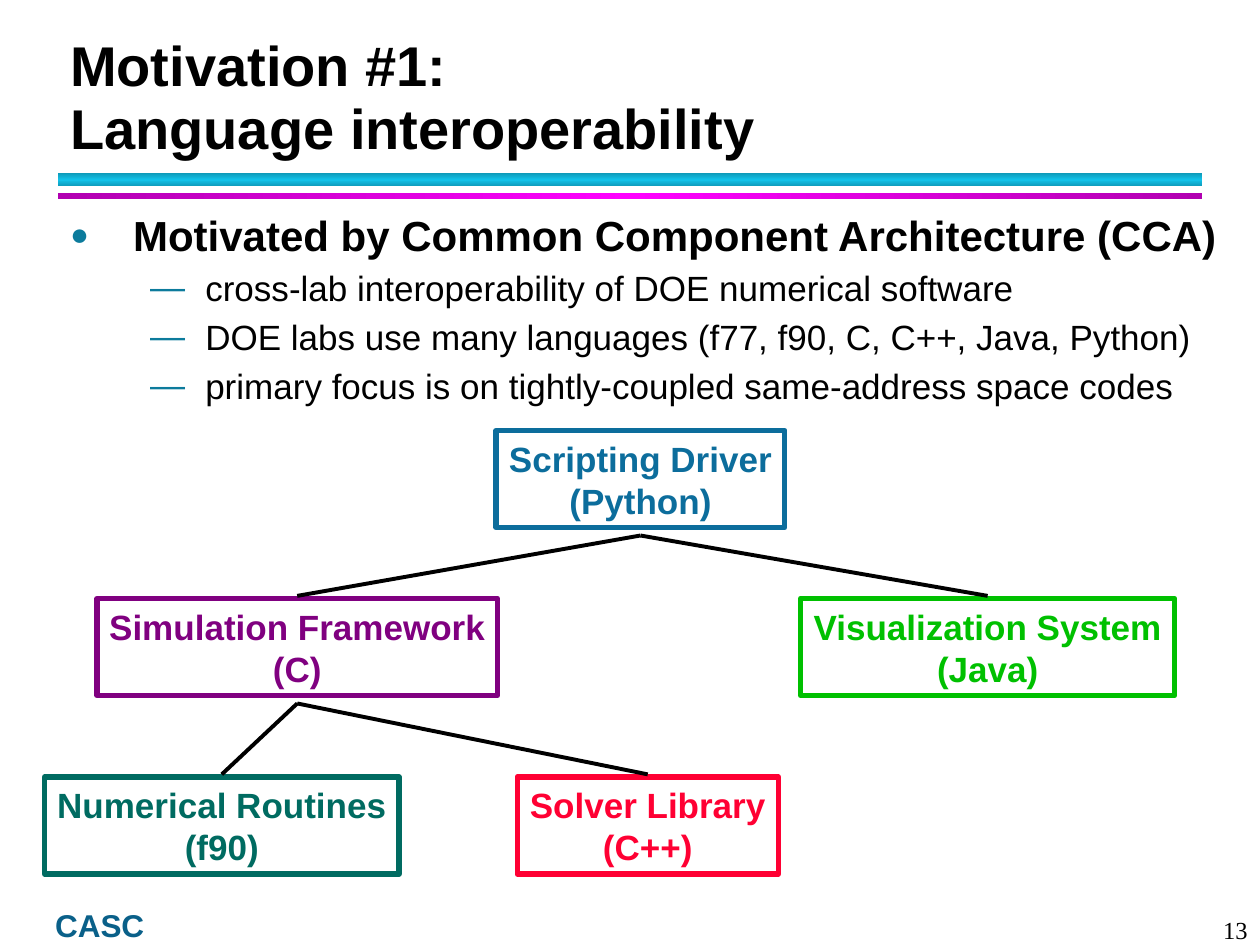
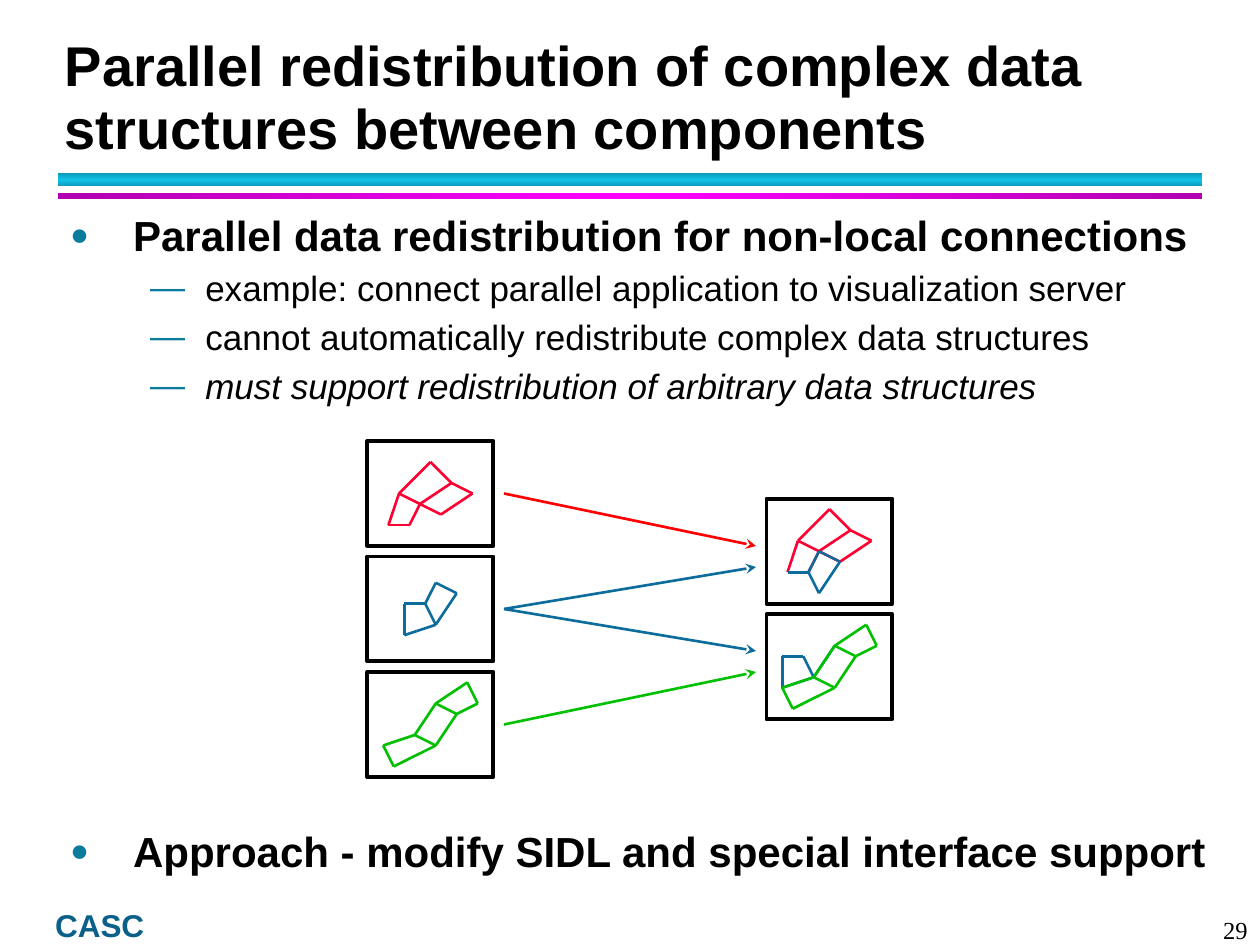
import copy
import itertools

import lxml.etree
import pptx
import pptx.dml.color
import pptx.enum.shapes
import pptx.enum.text
import pptx.oxml.ns
import pptx.util

PX = 9525  # EMU in one px, 96 px to the inch
CELL = 4  # px in one step of the mesh grid

RGB = pptx.dml.color.RGBColor
BLACK = RGB(0x00, 0x00, 0x00)
NAVY = RGB(0x0A, 0x60, 0x89)
TEAL = RGB(0x0C, 0x7B, 0x9C)
BLUE = RGB(0x0C, 0x6D, 0x9C)
PLUM = RGB(0x80, 0x00, 0x80)
PINE = RGB(0x00, 0x6B, 0x61)
GREEN = RGB(0x00, 0xC0, 0x00)
ROSE = RGB(0xFF, 0x00, 0x33)
RED = RGB(0xFF, 0x00, 0x00)
CYAN_EDGE = RGB(0x0E, 0x9A, 0xB9)
CYAN_MID = RGB(0x12, 0xC2, 0xE9)
PINK_EDGE = RGB(0xB1, 0x00, 0xB1)
PINK_MID = RGB(0xFF, 0x00, 0xFF)

ALIGN = pptx.enum.text.PP_ALIGN
ANCHOR = pptx.enum.text.MSO_ANCHOR
RECT = pptx.enum.shapes.MSO_SHAPE.RECTANGLE
STRAIGHT = pptx.enum.shapes.MSO_CONNECTOR.STRAIGHT

# Each mesh: colour, corner points on the grid, and the paths that join them
ROSE_MESH = (
    ROSE,
    dict(a=(12, 4), b=(6, 10), c=(10, 12), d=(16, 8),
         e=(8, 16), f=(4, 16), g=(14, 14), h=(20, 10)),
    ("abcda", "bfec", "cghd"),
)
BLUE_MESH = (
    BLUE,
    dict(a=(17, 7), b=(13, 13), c=(11, 9), d=(7, 9), e=(7, 15), f=(13, 5)),
    ("abcfa", "cdeb"),
)
GREEN_MESH = (
    GREEN,
    dict(a=(3, 14), b=(9, 12), c=(13, 6), d=(19, 2),
         e=(5, 18), f=(13, 14), g=(17, 8), h=(21, 6)),
    ("abfea", "bcgf", "cdhg"),
)


def emu(values):
    return [round(v * PX) for v in values]


def sub(parent, tag, **attrs):
    return lxml.etree.SubElement(parent, pptx.oxml.ns.qn(tag), **attrs)


def write(frame, lines, size, color=BLACK, font="Arial", bold=False,
          align=ALIGN.LEFT, anchor=ANCHOR.TOP, pitch=None, wrap=True):
    """Fill a text frame, one paragraph a line; pitch is line spacing in points."""
    frame.word_wrap = wrap
    frame.vertical_anchor = anchor
    for i, line in enumerate(lines):
        para = frame.add_paragraph() if i else frame.paragraphs[0]
        para.text = line
        para.alignment = align
        if pitch:
            para.line_spacing = pptx.util.Pt(pitch)
        for run in para.runs:
            style(run.font, size, color, font, bold)


def style(font, size, color, name="Arial", bold=False, slant=False):
    font.name = name
    font.size = pptx.util.Pt(size)
    font.bold = bold
    font.italic = slant
    font.color.rgb = color


def add_text(slide, box, lines, **look):
    frame = slide.shapes.add_textbox(*emu(box)).text_frame
    write(frame, lines, **look)
    return frame


def add_rect(slide, box, color=None, width=0):
    """Add an outlined box with no fill, or a bare one if no colour is given."""
    shape = slide.shapes.add_shape(RECT, *emu(box))
    shape.shadow.inherit = False
    shape.fill.background()
    if color is None:
        shape.line.fill.background()
    else:
        shape.line.color.rgb = color
        shape.line.width = pptx.util.Pt(width)
    return shape


def add_line(slide, start, end, color, width, arrow=False):
    line = slide.shapes.add_connector(STRAIGHT, *emu((*start, *end)))
    line.line.color.rgb = color
    line.line.width = pptx.util.Pt(width)
    if arrow:
        sub(line.line._get_or_add_ln(), "a:tailEnd", type="stealth")
    sub(line._element.spPr, "a:effectLst")


def add_band(slide, box, edge, mid, angle):
    fill = add_rect(slide, box).fill
    fill.gradient()
    fill.gradient_angle = angle
    stops = slide.shapes[-1]._element.spPr.find(".//" + pptx.oxml.ns.qn("a:gsLst"))
    stops.append(copy.deepcopy(stops[0]))
    for stop, place, color in zip(fill.gradient_stops, (0, 0.5, 1), (edge, mid, edge)):
        stop.position = place
        stop.color.rgb = color


def add_frame(deck, title, title_box, number):
    """Start a slide with the title, bands and footer that all share."""
    slide = deck.slides.add_slide(deck.slide_layouts[6])
    add_band(slide, (44, 132, 872, 10), CYAN_EDGE, CYAN_MID, 90)
    add_band(slide, (44, 147, 872, 5), PINK_EDGE, PINK_MID, 0)
    add_text(slide, title_box, [title], size=32, bold=True,
             anchor=ANCHOR.BOTTOM, pitch=36)
    mark = add_text(slide, (42, 692, 74, 27), ["CASC"], size=18, color=NAVY,
                    bold=True, anchor=ANCHOR.BOTTOM, pitch=20, wrap=False)
    mark.margin_left = mark.margin_right = mark.margin_top = mark.margin_bottom = 0
    add_text(slide, (904, 696, 56, 24), [number], size=14, font="Times New Roman",
             align=ALIGN.RIGHT, anchor=ANCHOR.MIDDLE)
    return slide


def set_bullet(para, sign, left, hang, scale):
    props = para._p.get_or_add_pPr()
    props.set("marL", str(left * PX))
    props.set("indent", str(-hang * PX))
    sub(sub(props, "a:buClr"), "a:srgbClr", val=str(TEAL))
    sub(props, "a:buSzPct", val=str(scale * 1000))
    sub(props, "a:buFont", typeface="Arial")
    sub(props, "a:buChar", char=sign)


def add_body(slide, box, items):
    """Place bullets; each item is text, level, space before, italic."""
    frame = slide.shapes.add_textbox(*emu(box)).text_frame
    frame.word_wrap = True
    for i, (text, level, gap, slant) in enumerate(items):
        para = frame.add_paragraph() if i else frame.paragraphs[0]
        para.text = text
        para.level = level
        if level:
            set_bullet(para, "—", 103, 42, 100)
        else:
            set_bullet(para, "●", 48, 48, 75)
        para.line_spacing = pptx.util.Pt(28)
        para.space_before = pptx.util.Pt(gap)
        style(para.runs[0].font, 20 if level else 24, BLACK,
              bold=not level, slant=slant)


def add_tree(slide, box):
    left, top = box[:2]
    tall = 74
    nodes = {
        "driver": (344, 0, 220, BLUE, "Scripting Driver", "(Python)"),
        "frame": (40, 128, 305, PLUM, "Simulation Framework", "(C)"),
        "view": (576, 128, 285, GREEN, "Visualization System", "(Java)"),
        "math": (0, 264, 270, PINE, "Numerical Routines", "(f90)"),
        "solver": (360, 264, 199, ROSE, "Solver Library", "(C++)"),
    }
    for x, y, wide, color, *lines in nodes.values():
        shape = add_rect(slide, (left + x, top + y, wide, tall), color, 3)
        write(shape.text_frame, lines, size=20, color=color, bold=True,
              align=ALIGN.CENTER, anchor=ANCHOR.MIDDLE, wrap=False)

    def port(name, shift):
        x, y, wide = nodes[name][:3]
        return left + x + wide / 2, top + y + shift

    links = (("driver", "frame"), ("driver", "view"),
             ("frame", "math"), ("frame", "solver"))
    for upper, lower in links:
        add_line(slide, port(upper, tall + 6), port(lower, -2), BLACK, 2.25)


def add_mesh(slide, box, mesh, shift=(0, 0), paths=None):
    """Draw a mesh, moved by shift grid steps, or only some paths of it."""
    color, points, whole = mesh
    spots = {key: [box[i] + (at[i] + shift[i]) * CELL for i in (0, 1)]
             for key, at in points.items()}
    for path in paths or whole:
        for a, b in itertools.pairwise(path):
            add_line(slide, spots[a], spots[b], color, 1.5)


def add_flow(slide, box):
    left, top = box[:2]

    def panel(x, y, row):
        place = (left + x, top + y + 88 * row, 96, 80)
        add_rect(slide, place, BLACK, 2.25)
        return place

    for row, mesh in enumerate((ROSE_MESH, BLUE_MESH, GREEN_MESH)):
        add_mesh(slide, panel(0, 0, row), mesh)

    upper = panel(304, 44, 0)
    add_mesh(slide, upper, ROSE_MESH, (0, -2))
    add_mesh(slide, upper, BLUE_MESH, (-3, 5), ("abcfa", "cd"))
    lower = panel(304, 44, 1)
    add_mesh(slide, lower, BLUE_MESH, (-4, -1), ("abcdeb",))
    add_mesh(slide, lower, GREEN_MESH)

    for start, end, color in ((40, 80, RED), (128, 96, BLUE),
                              (128, 160, BLUE), (216, 176, GREEN)):
        add_line(slide, (left + 104, top + start), (left + 296, top + end),
                 color, 1.5, arrow=True)


def main():
    deck = pptx.Presentation()
    deck.slide_width, deck.slide_height = emu((960, 720))

    slide = add_frame(deck, "Motivation #1:\vLanguage interoperability",
                      (44, 32, 870, 95), "13")
    add_body(slide, (44, 156, 916, 532), (
        ("Motivated by Common Component Architecture (CCA)", 0, 0, False),
        ("cross-lab interoperability of DOE numerical software", 1, 0, False),
        ("DOE labs use many languages (f77, f90, C, C++, Java, Python)", 1, 0, False),
        ("primary focus is on tightly-coupled same-address space codes", 1, 0, False),
    ))
    add_tree(slide, (34, 328, 861, 338))

    slide = add_frame(
        deck, "Parallel redistribution of complex data structures between components",
        (40, 32, 872, 95), "29")
    add_body(slide, (44, 156, 916, 540), (
        ("Parallel data redistribution for non-local connections", 0, 0, False),
        ("example: connect parallel application to visualization server", 1, 0, False),
        ("cannot automatically redistribute complex data structures", 1, 0, False),
        ("must support redistribution of arbitrary data structures", 1, 0, True),
        ("Approach - modify SIDL and special interface support", 0, 240, False),
    ))
    add_flow(slide, (280, 336, 400, 256))

    deck.save("out.pptx")


if __name__ == "__main__":
    main()
